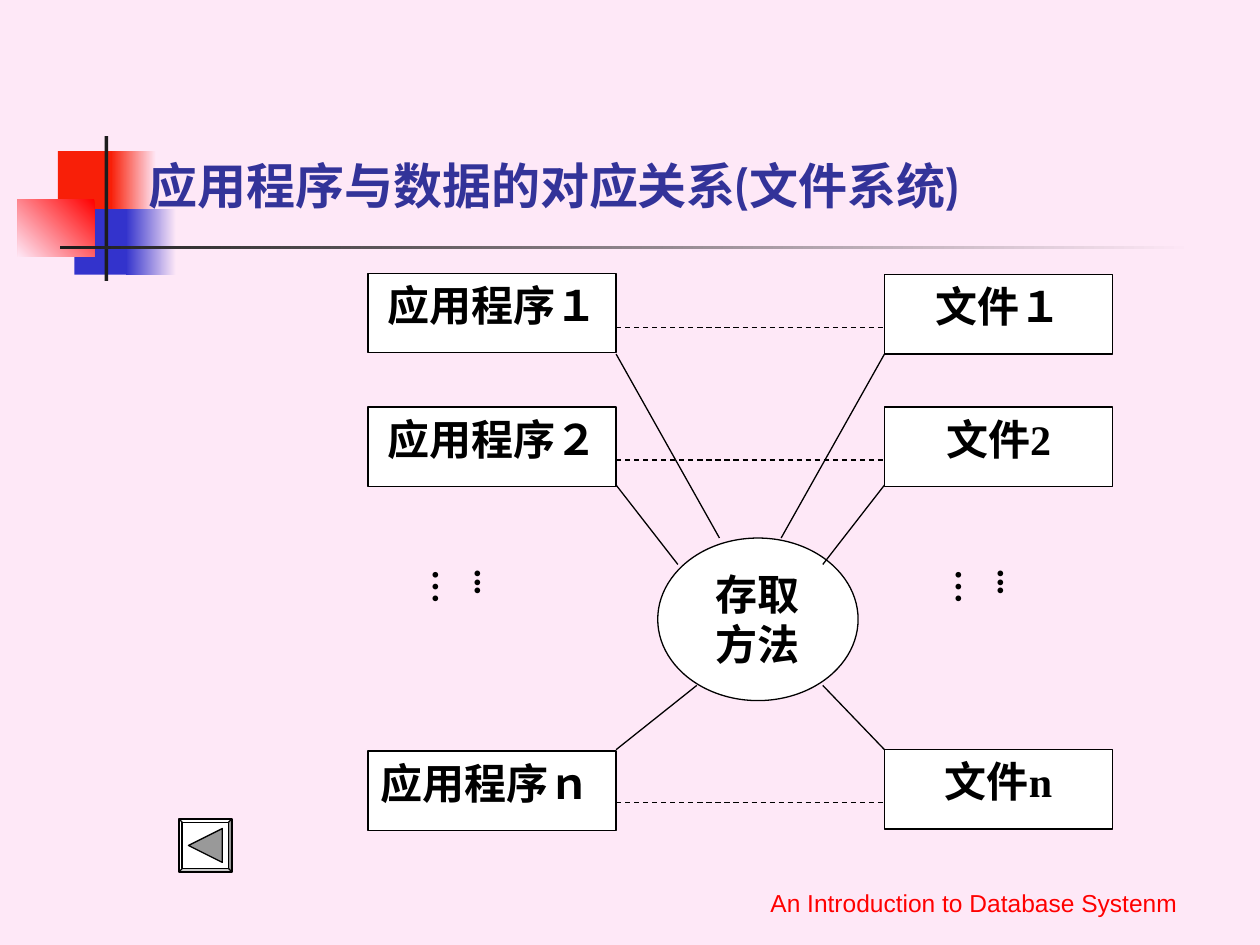
import pptx
import pptx.util
import pptx.dml.color
from pptx.enum.dml import MSO_LINE
from pptx.enum.shapes import MSO_CONNECTOR, MSO_SHAPE
from pptx.enum.text import MSO_ANCHOR, MSO_AUTO_SIZE, PP_ALIGN
from pptx.oxml.xmlchemy import OxmlElement
from pptx.util import Inches

COLORS = {
    "back": "FEE8F7", "red": "F81F08", "bright": "FF0000", "blue": "3333CC",
    "dark": "1C1C1C", "title": "333399", "ink": "000000", "white": "FFFFFF",
    "gray": "999999",
}
SERIF = "Times New Roman"


def rgb(name):
    return pptx.dml.color.RGBColor.from_string(COLORS[name])


def write(frame, text, size=24, font=SERIF, color="ink", bold=True,
          align=PP_ALIGN.CENTER, anchor=MSO_ANCHOR.TOP, fit=MSO_AUTO_SIZE.NONE):
    frame.word_wrap = True
    frame.auto_size = fit
    frame.vertical_anchor = anchor
    para = frame.paragraphs[0]
    para.alignment = align
    span = para.add_run()
    span.text = text
    span.font.size = pptx.util.Pt(size)
    span.font.name = font
    span.font.bold = bold
    span.font.color.rgb = rgb(color)


def add_block(page, kind, box, fill, end=None, angle=180, outline=None):
    """Add a preset shape; a second colour makes its fill a gradient."""
    shape = page.shapes.add_shape(kind, *map(Inches, box))
    shape.shadow.inherit = False
    if end:
        shape.fill.gradient()
        shape.fill.gradient_angle = angle
        for stop, name in zip(shape.fill.gradient_stops, (fill, end)):
            stop.color.rgb = rgb(name)
    else:
        shape.fill.solid()
        shape.fill.fore_color.rgb = rgb(fill)
    if outline:
        shape.line.color.rgb = rgb(outline)
        shape.line.width = pptx.util.Pt(0.75)
    else:
        shape.line.fill.background()
    return shape


def add_line(page, start, end, dashed=False):
    line = page.shapes.add_connector(
        MSO_CONNECTOR.STRAIGHT, *map(Inches, (*start, *end)))
    line.line.color.rgb = rgb("ink")
    line.line.width = pptx.util.Pt(0.75)
    if dashed:
        line.line.dash_style = MSO_LINE.DASH
    line._element.spPr.append(OxmlElement("a:effectLst"))


def add_ornament(page, left, top):
    """Coloured squares with the crossing bars."""
    parts = [
        ((0.32, 0.12, 0.48, 0.52), "red", None, 0),
        ((0.74, 0.12, 0.36, 0.52), "back", "red", 180),
        ((0.45, 0.58, 0.46, 0.52), "blue", None, 0),
        ((0.86, 0.58, 0.4, 0.52), "back", "blue", 180),
        ((0, 0.5, 0.61, 0.46), "bright", "back", 225),
        ((0.69, 0, 0.03, 1.15), "dark", None, 0),
        ((0.34, 0.87, 9, 0.03), "back", "dark", 180),
    ]
    for (x, y, width, height), fill, end, angle in parts:
        add_block(page, MSO_SHAPE.RECTANGLE, (left + x, top + y, width, height),
                  fill, end, angle)


def add_title(page, box):
    title = page.shapes.title
    title.left, title.top, title.width, title.height = map(Inches, box)
    write(title.text_frame, "应用程序与数据的对应关系(文件系统)", size=28, font="Cabin",
          color="title", align=PP_ALIGN.LEFT, anchor=MSO_ANCHOR.BOTTOM)


def add_dots(page, box):
    dots = page.shapes.add_textbox(*map(Inches, box))
    frame = dots.text_frame
    frame.margin_left = frame.margin_right = Inches(0.05)
    frame.margin_top = frame.margin_bottom = Inches(0.1)
    write(frame, "...…", size=20, align=PP_ALIGN.LEFT,
          fit=MSO_AUTO_SIZE.SHAPE_TO_FIT_TEXT)
    frame._txBody.bodyPr.set("vert", "eaVert")


def add_diagram(page, left, top):
    """Programs on the left, files on the right, access method between."""
    program_width, file_width, height = 1.97, 1.81, 0.63
    inner_left, inner_right = left + program_width, left + 4.1
    rows = [
        (0, 0.01, "应用程序１", "文件１", PP_ALIGN.CENTER),
        (1.06, 1.06, "应用程序２", "文件2", PP_ALIGN.CENTER),
        (3.79, 3.78, "应用程序ｎ", "文件n", PP_ALIGN.JUSTIFY),
    ]
    for program_y, file_y, program, file_name, align in rows:
        shape = add_block(page, MSO_SHAPE.RECTANGLE,
                          (left, top + program_y, program_width, height),
                          "white", outline="ink")
        write(shape.text_frame, program, align=align)
        shape = add_block(page, MSO_SHAPE.RECTANGLE,
                          (inner_right, top + file_y, file_width, height),
                          "white", outline="ink")
        write(shape.text_frame, file_name)
        level = top + file_y + 0.42
        add_line(page, (inner_left, level), (inner_right, level), dashed=True)

    # Access method and its links
    oval = add_block(page, MSO_SHAPE.OVAL, (left + 2.3, top + 2.1, 1.59, 1.29),
                     "white", outline="ink")
    write(oval.text_frame, "存取方法")
    links = [(0.64, 2.1, 0.82, 0.82), (1.68, 2.31, 0.49, 0.49),
             (3.78, 3.27, 0.64, 0.49)]
    for box_y, oval_y, left_run, right_run in links:
        add_line(page, (inner_left, top + box_y), (inner_left + left_run, top + oval_y))
        add_line(page, (inner_right, top + box_y), (inner_right - right_run, top + oval_y))

    for x in (0.65, 4.8):
        add_dots(page, (left + x, top + 2.25, 0.53, 0.67))


def add_back_button(page, left, top, side):
    bevel = add_block(page, MSO_SHAPE.BEVEL, (left, top, side, side),
                      "white", outline="ink")
    bevel.adjustments[0] = 0.06
    size = side * 0.64
    inset = (side - size) / 2
    arrow = add_block(page, MSO_SHAPE.ISOSCELES_TRIANGLE,
                      (left + inset, top + inset, size, size), "gray", outline="ink")
    arrow.rotation = 270


def add_footer(page, box):
    footer = page.shapes.add_textbox(*map(Inches, box))
    write(footer.text_frame, "An Introduction to Database Systenm", size=14,
          font="Arial", color="bright", bold=False, anchor=MSO_ANCHOR.BOTTOM)


def main():
    deck = pptx.Presentation()
    deck.slide_width, deck.slide_height = Inches(10), Inches(7.5)
    page = deck.slides.add_slide(deck.slide_layouts[5])
    page.background.fill.solid()
    page.background.fill.fore_color.rgb = rgb("back")

    add_ornament(page, 0.14, 1.08)
    add_title(page, (1.08, 0.5, 8.67, 1.25))
    # Keep the title in front of the ornament
    page.shapes._spTree.append(page.shapes.title._element)
    add_diagram(page, 2.92, 2.17)
    add_back_button(page, 1.42, 6.5, 0.42)
    add_footer(page, (5.71, 6.83, 4.04, 0.5))
    deck.save("out.pptx")


if __name__ == "__main__":
    main()
